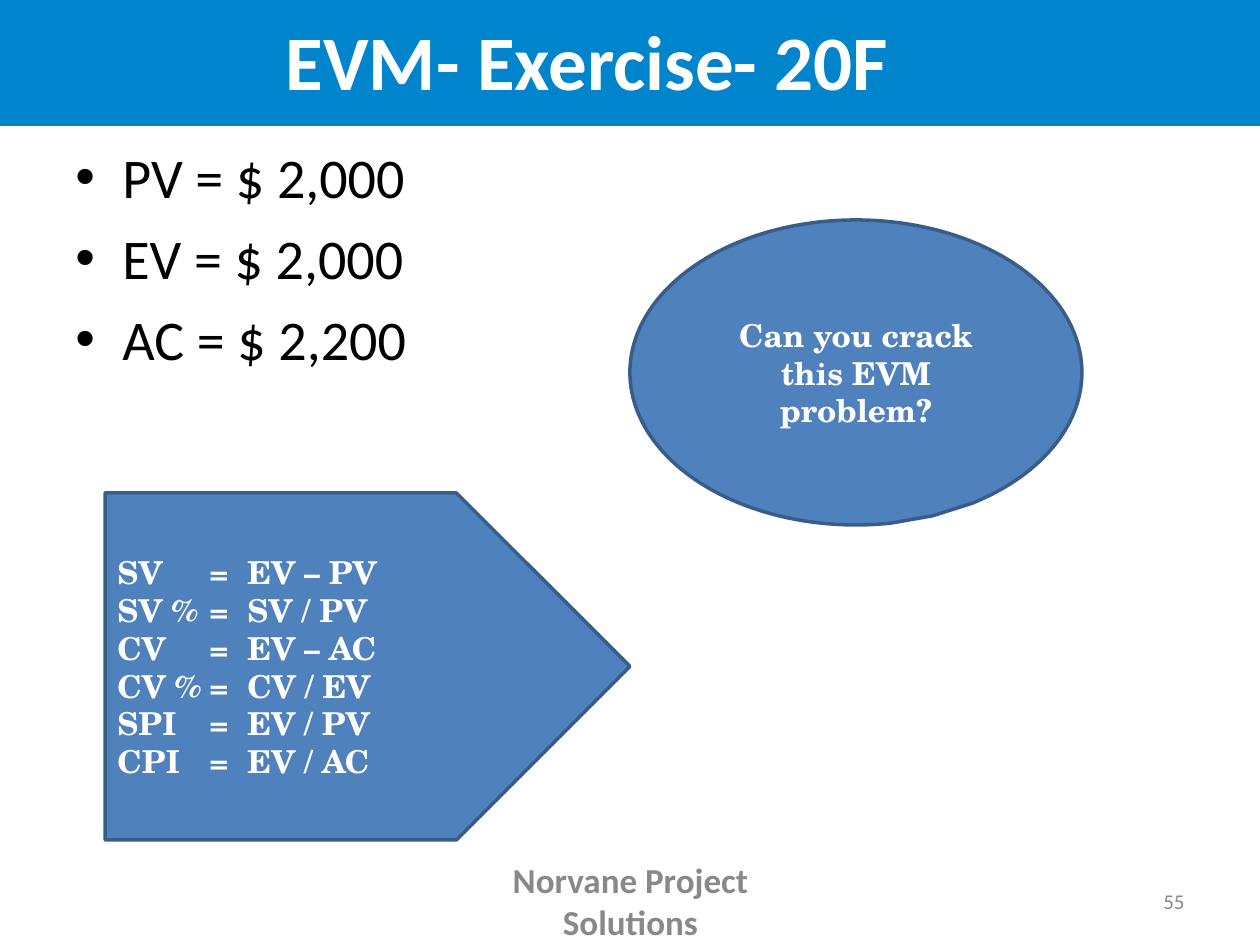
"""Build the EVM exercise slide."""
from lxml.etree import SubElement
from pptx import Presentation
from pptx.dml.color import RGBColor
from pptx.enum.shapes import MSO_SHAPE
from pptx.enum.text import MSO_ANCHOR, PP_ALIGN
from pptx.oxml.ns import qn
from pptx.util import Pt

PX = 914400 / 126


def paint(shape, fill, line=None):
    shape.shadow.inherit = False
    shape.fill.solid()
    shape.fill.fore_color.rgb = RGBColor.from_string(fill)
    if line:
        shape.line.color.rgb = RGBColor.from_string(line)
        shape.line.width = Pt(2)
    else:
        shape.line.fill.background()


def write(shape, text, size, font, color, bold, align, anchor=MSO_ANCHOR.MIDDLE):
    frame = shape.text_frame
    frame.word_wrap = True
    frame.vertical_anchor = anchor
    frame.text = text
    for par in frame.paragraphs:
        par.alignment = align
        for run in par.runs:
            run.font.size = Pt(size)
            run.font.name = font
            run.font.bold = bold
            run.font.color.rgb = RGBColor.from_string(color)


deck = Presentation()
deck.slide_width = round(1260 * PX)
deck.slide_height = round(945 * PX)
slide = deck.slides.add_slide(deck.slide_layouts[6])
shapes = slide.shapes

banner = shapes.add_shape(MSO_SHAPE.RECTANGLE, 0, 0, deck.slide_width, round(126 * PX))
paint(banner, "0084CC")

labels = [
    ((10, 4, 1155, 111), "EVM- Exercise- 20F", 44, "FFFFFF", True, PP_ALIGN.CENTER),
    ((431, 876, 399, 50), "Norvane Project Solutions", 20, "898989", True, PP_ALIGN.CENTER),
    ((903, 876, 294, 50), "55", 12, "898989", False, PP_ALIGN.RIGHT),
]
for place, text, size, color, bold, align in labels:
    box = shapes.add_textbox(*[round(n * PX) for n in place])
    write(box, text, size, "Calibri", color, bold, align)

values = ["PV = $ 2,000", "EV = $ 2,000", "AC = $ 2,200"]
body = shapes.add_textbox(*[round(n * PX) for n in (63, 136, 1134, 708)])
write(body, "\n".join(values), 32, "Calibri", "000000", False, PP_ALIGN.LEFT, MSO_ANCHOR.TOP)
for row, par in enumerate(body.text_frame.paragraphs):
    if row:
        par.space_before = Pt(8)
    props = par._p.get_or_add_pPr()
    props.set("marL", str(round(47 * PX)))
    props.set("indent", str(round(-47 * PX)))
    SubElement(props, qn("a:buFont"), typeface="Arial")
    SubElement(props, qn("a:buChar"), char="•")

bubble = shapes.add_shape(MSO_SHAPE.OVAL_CALLOUT, *[round(n * PX) for n in (630, 220, 452, 305)])
bubble.adjustments[0] = 0.17
bubble.adjustments[1] = 0.47
paint(bubble, "4F81BD", "385D8A")
write(bubble, "Can you crack this EVM problem?", 18, "TeX Gyre Schola", "FFFFFF", True, PP_ALIGN.CENTER)

rules = [
    ("SV", "EV – PV"),
    ("SV %", "SV / PV"),
    ("CV", "EV – AC"),
    ("CV %", "CV / EV"),
    ("SPI", "EV / PV"),
    ("CPI", "EV / AC"),
]
arrow = shapes.add_shape(MSO_SHAPE.PENTAGON, *[round(n * PX) for n in (105, 493, 525, 347)])
paint(arrow, "4F81BD", "385D8A")
lines = "\n".join(f"{name}\t=\t{rule}" for name, rule in rules)
write(arrow, lines, 18, "TeX Gyre Schola", "FFFFFF", True, PP_ALIGN.LEFT)
for par in arrow.text_frame.paragraphs:
    tabs = SubElement(par._p.get_or_add_pPr(), qn("a:tabLst"))
    for stop in (92, 130):
        SubElement(tabs, qn("a:tab"), pos=str(round(stop * PX)), algn="l")

deck.save("out.pptx")
